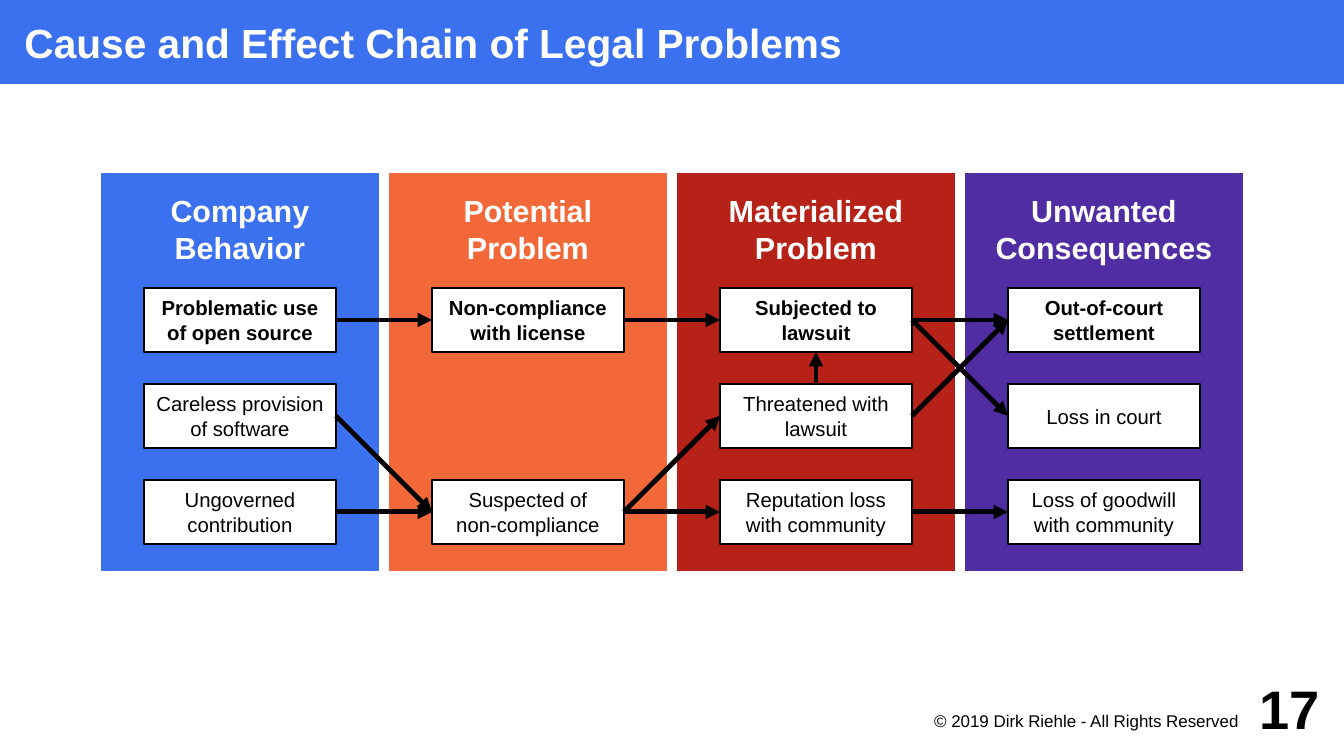
from pptx import Presentation
from pptx.dml.color import RGBColor
from pptx.enum.shapes import MSO_CONNECTOR, MSO_SHAPE
from pptx.enum.text import MSO_ANCHOR, PP_ALIGN
from pptx.oxml.ns import qn
from pptx.util import Inches, Pt
from lxml import etree

RECTANGLE = MSO_SHAPE.RECTANGLE
STRAIGHT = MSO_CONNECTOR.STRAIGHT
LEFT, CENTER, RIGHT = PP_ALIGN.LEFT, PP_ALIGN.CENTER, PP_ALIGN.RIGHT
TOP, MIDDLE = MSO_ANCHOR.TOP, MSO_ANCHOR.MIDDLE
SIDE_TOP, SIDE_LEFT, SIDE_BOTTOM, SIDE_RIGHT = range(4)

WIDTH, HEIGHT = 11.02, 6.2
UNIT = WIDTH / 28
BLUE, WHITE, BLACK = "3B70EE", "FFFFFF", "000000"

TITLE = "Cause and Effect Chain of Legal Problems"
COPYRIGHT = "© 2019 Dirk Riehle - All Rights Reserved"
PAGE_NUMBER = "17"

STAGES = [
    ("Company\nBehavior", BLUE,
     ["Problematic use of open source", "Careless provision of software", "Ungoverned contribution"]),
    ("Potential\nProblem", "F36838",
     ["Non-compliance with license", None, "Suspected of\nnon-compliance"]),
    ("Materialized\nProblem", "B62118",
     ["Subjected to lawsuit", "Threatened with lawsuit", "Reputation loss with community"]),
    ("Unwanted\nConsequences", "502DA2",
     ["Out-of-court settlement", "Loss in court", "Loss of goodwill with community"]),
]

EFFECTS = [
    ((0, 0), (1, 0)), ((0, 2), (1, 2)), ((1, 0), (2, 0)), ((1, 2), (2, 2)),
    ((2, 1), (2, 0)), ((2, 0), (3, 0)), ((2, 2), (3, 2)), ((2, 1), (3, 0)),
    ((2, 0), (3, 1)), ((1, 2), (2, 1)), ((0, 1), (1, 2)),
]


def color(value):
    return RGBColor.from_string(value)


def place(*units):
    return [Inches(UNIT * value) for value in units]


def write(box, text, size=12, ink=BLACK, bold=False, align=CENTER, anchor=MIDDLE, insets=(0, 0, 0, 0)):
    frame = box.text_frame
    frame.word_wrap = True
    frame.vertical_anchor = anchor
    frame.margin_left, frame.margin_top, frame.margin_right, frame.margin_bottom = map(Inches, insets)
    frame.text = text
    for para in frame.paragraphs:
        para.alignment = align
        for span in para.runs:
            span.font.name = "Arial"
            span.font.size = Pt(size)
            span.font.bold = bold
            span.font.color.rgb = color(ink)


def add_panel(page, area, fill, line=None, weight=0):
    panel = page.shapes.add_shape(RECTANGLE, *place(*area))
    panel.shadow.inherit = False
    panel.fill.solid()
    panel.fill.fore_color.rgb = color(fill)
    if line:
        panel.line.color.rgb = color(line)
        panel.line.width = Pt(weight)
    else:
        panel.line.fill.background()
    return panel


def add_arrow(page, cause, effect, sides):
    arrow = page.shapes.add_connector(STRAIGHT, 0, 0, 0, 0)
    arrow.begin_connect(cause, sides[0])
    arrow.end_connect(effect, sides[1])
    arrow.line.color.rgb = color(BLACK)
    arrow.line.width = Pt(2.83)
    etree.SubElement(arrow.line._get_or_add_ln(), qn("a:tailEnd"), type="triangle")
    etree.SubElement(arrow._element.spPr, qn("a:effectLst"))


def main():
    deck = Presentation()
    deck.slide_width, deck.slide_height = Inches(WIDTH), Inches(HEIGHT)
    page = deck.slides.add_slide(deck.slide_layouts[6])

    banner = add_panel(page, (0, 0, 28, 1.75), BLUE)
    write(banner, TITLE, size=24, ink=WHITE, bold=True, align=LEFT, insets=(0.2, 0, 0, 0))

    boxes = {}
    for column, (heading, fill, steps) in enumerate(STAGES):
        left = 2 + 6 * column
        panel = add_panel(page, (left, 3.5, 6, 8.5), fill, WHITE, 5.67)
        write(panel, heading, size=18, ink=WHITE, bold=True, anchor=TOP, insets=(0.04, 0.2, 0.04, 0.2))
        for row, step in enumerate(steps):
            if step:
                box = add_panel(page, (left + 1, 6 + 2 * row, 4, 4 / 3), WHITE, BLACK, 1.42)
                write(box, step, bold=row == 0, insets=(0.08, 0.08, 0.08, 0.08))
                boxes[column, row] = box

    for cause, effect in EFFECTS:
        sides = (SIDE_TOP, SIDE_BOTTOM) if cause[0] == effect[0] else (SIDE_RIGHT, SIDE_LEFT)
        add_arrow(page, boxes[cause], boxes[effect], sides)

    notice = page.shapes.add_textbox(*place(18, 14.75, 8, 0.75))
    write(notice, COPYRIGHT, size=10, align=RIGHT, anchor=TOP, insets=(0, 0.02, 0.08, 0))
    number = page.shapes.add_textbox(*place(25.5, 14, 2, 1.5))
    write(number, PAGE_NUMBER, size=32, bold=True, align=RIGHT)

    deck.save("out.pptx")


if __name__ == "__main__":
    main()
